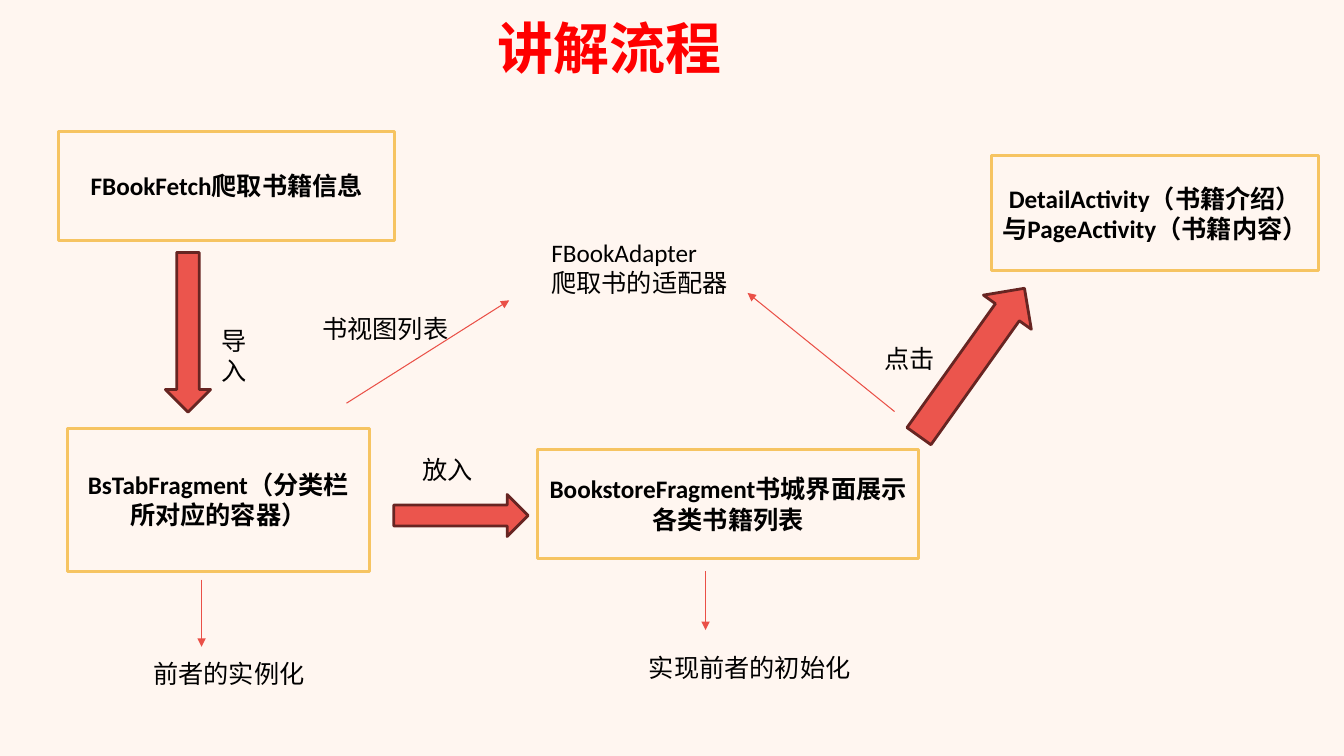
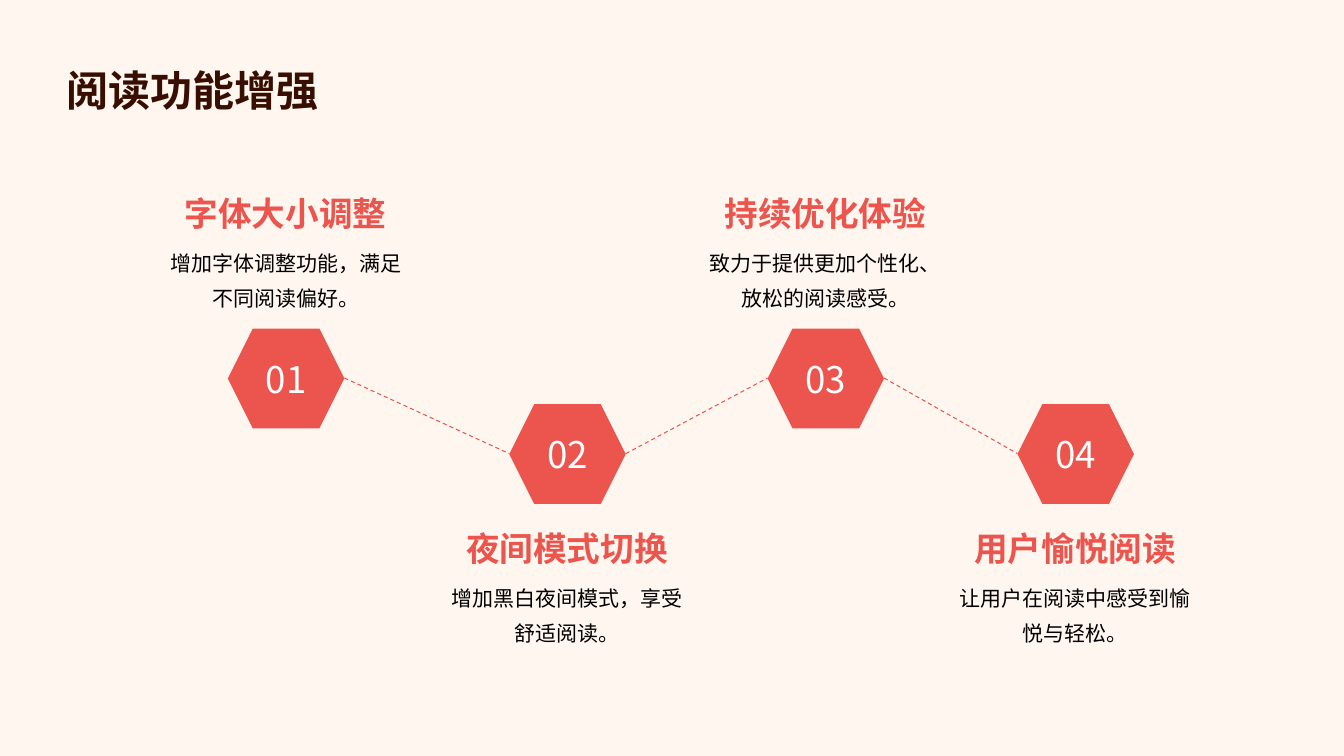
from lxml import etree
from pptx import Presentation
from pptx.dml.color import RGBColor
from pptx.enum.dml import MSO_LINE
from pptx.enum.shapes import MSO_CONNECTOR, MSO_SHAPE
from pptx.enum.text import MSO_ANCHOR, MSO_AUTO_SIZE, PP_ALIGN
from pptx.oxml.ns import qn
from pptx.util import Emu, Pt

PX = 9525  # EMU per px, 96 px to the inch
WIDTH, HEIGHT = 1280, 720

CREAM, GOLD, CORAL, MAROON = "FFF6F0", "F6C462", "EB554D", "672522"
ARROW_RED, RED, BROWN = "EA5047", "FF0000", "380E00"
BLACK, WHITE = "000000", "FFFFFF"
CJK = "Noto Sans CJK SC"
DEFAULT_INSETS = (10, 5, 10, 5)
TIGHT_INSETS = (7, 4, 7, 4)


def px(n):
    return Emu(n * PX)


def rgb(code):
    return RGBColor.from_string(code)


class Deck:
    """Holds the shared style and the slide being built."""

    def __init__(self):
        self.prs = Presentation()
        self.prs.slide_width, self.prs.slide_height = px(WIDTH), px(HEIGHT)
        fill = self.prs.slide_master.background.fill
        fill.solid()
        fill.fore_color.rgb = rgb(CREAM)
        self.s = None

    def slide(self):
        self.s = self.prs.slides.add_slide(self.prs.slide_layouts[5])

    def set_text(self, sp, lines, size, color=BLACK, font="Calibri", bold=False,
                 align=PP_ALIGN.LEFT, anchor=MSO_ANCHOR.TOP, spacing=1.0,
                 insets=DEFAULT_INSETS, fit=MSO_AUTO_SIZE.NONE):
        tf = sp.text_frame
        tf.word_wrap, tf.auto_size, tf.vertical_anchor = True, fit, anchor
        (tf.margin_left, tf.margin_top,
         tf.margin_right, tf.margin_bottom) = map(px, insets)
        for i, line in enumerate(lines):
            p = tf.add_paragraph() if i else tf.paragraphs[0]
            p.alignment, p.line_spacing = align, spacing
            r = p.add_run()
            r.text = line
            f = r.font
            f.size, f.bold, f.name = Pt(size), bold, font
            f.color.rgb = rgb(color)
            # East Asian glyphs need their own typeface element
            rpr = r._r.get_or_add_rPr()
            etree.SubElement(rpr, qn("a:ea")).set("typeface", CJK)

    def title(self, text, at, size, **style):
        sp = self.s.shapes.title
        sp.left, sp.top, sp.width, sp.height = map(px, at)
        self.set_text(sp, [text], size, bold=True, **style)

    def text(self, lines, at, size, **style):
        sp = self.s.shapes.add_textbox(*map(px, at))
        self.set_text(sp, lines, size, **style)

    def label(self, lines, at):
        self.text(lines, at, 18, fit=MSO_AUTO_SIZE.SHAPE_TO_FIT_TEXT)

    def shape(self, kind, at, fill, line=None, rotation=0):
        sp = self.s.shapes.add_shape(kind, *map(px, at))
        sp.shadow.inherit = False
        sp.rotation = rotation
        sp.fill.solid()
        sp.fill.fore_color.rgb = rgb(fill)
        if line:
            sp.line.color.rgb = rgb(line)
            sp.line.width = Pt(2)
        else:
            sp.line.fill.background()
        return sp

    def box(self, text, at):
        sp = self.shape(MSO_SHAPE.RECTANGLE, at, CREAM, GOLD)
        self.set_text(sp, [text], 18, bold=True, align=PP_ALIGN.CENTER,
                      anchor=MSO_ANCHOR.MIDDLE)

    def block_arrow(self, at, rotation=0):
        self.shape(MSO_SHAPE.RIGHT_ARROW, at, CORAL, MAROON, rotation)

    def hexagon(self, text, at):
        sp = self.shape(MSO_SHAPE.HEXAGON, at, CORAL)
        self.set_text(sp, [text], 26.2, WHITE, CJK, align=PP_ALIGN.CENTER,
                      anchor=MSO_ANCHOR.MIDDLE, insets=(0, 0, 0, 0))

    def line(self, ends, color, dashed=False, arrow=False):
        c = self.s.shapes.add_connector(MSO_CONNECTOR.STRAIGHT, *map(px, ends))
        c.line.color.rgb = rgb(color)
        c.line.width = Pt(0.75)
        if dashed:
            c.line.dash_style = MSO_LINE.DASH
        sp_pr = c._element.spPr
        if arrow:
            ln = sp_pr.find(qn("a:ln"))
            etree.SubElement(ln, qn("a:tailEnd")).set("type", "triangle")
        etree.SubElement(sp_pr, qn("a:effectLst"))


def flow_slide(deck):
    deck.slide()
    deck.title("讲解流程", (464, 8, 459, 74), 40, color=RED, font="Arial")

    # Components
    for text, at in [
        ("FBookFetch爬取书籍信息", (56, 125, 320, 104)),
        ("BsTabFragment（分类栏所对应的容器）", (64, 408, 288, 136)),
        ("BookstoreFragment书城界面展示各类书籍列表", (512, 428, 363, 104)),
        ("DetailActivity（书籍介绍）与PageActivity（书籍内容）",
         (944, 148, 312, 110)),
    ]:
        deck.box(text, at)

    # Main flow
    deck.block_arrow((103, 295, 152, 43), 90)
    deck.block_arrow((375, 471, 128, 40))
    deck.block_arrow((839, 317, 173, 56), 305.5)

    # Thin arrows
    for ends in [(672, 544, 672, 600), (192, 552, 192, 616),
                 (852, 392, 712, 279), (330, 384, 485, 286)]:
        deck.line(ends, ARROW_RED, arrow=True)

    # Labels
    for lines, at in [
        (["导入"], (201, 305, 68, 38)),
        (["点击"], (832, 322, 72, 38)),
        (["放入"], (392, 428, 104, 38)),
        (["实现前者的初始化"], (608, 616, 224, 38)),
        (["前者的实例化"], (136, 622, 176, 38)),
        (["书视图列表"], (297, 293, 150, 38)),
        (["FBookAdapter", "爬取书的适配器"], (515, 221, 208, 68)),
    ]:
        deck.label(lines, at)


def features_slide(deck):
    deck.slide()
    deck.title("阅读功能增强", (50, 28, 1180, 96), 30, color=BROWN, font=CJK,
               anchor=MSO_ANCHOR.MIDDLE, spacing=1.4, insets=(13, 13, 6, 13))

    hex_w, hex_h = 111, 95
    head_w, head_h = 254, 52
    body_w, body_h = 238, 83
    upper, lower = (313, 173), (385, 492)  # hexagon top, heading top
    steps = [
        (217, upper, "字体大小调整", "增加字体调整功能，满足不同阅读偏好。"),
        (485, lower, "夜间模式切换", "增加黑白夜间模式，享受舒适阅读。"),
        (731, upper, "持续优化体验", "致力于提供更加个性化、放松的阅读感受。"),
        (969, lower, "用户愉悦阅读", "让用户在阅读中感受到愉悦与轻松。"),
    ]

    # Dashed links between neighbouring hexagons
    for (x1, (y1, _), *_), (x2, (y2, _), *_) in zip(steps, steps[1:]):
        mid = hex_h // 2
        deck.line((x1 + hex_w, y1 + mid, x2, y2 + mid), CORAL, dashed=True)

    # Numbered steps, text centred on each hexagon
    for n, (x, (hex_top, head_top), head, body) in enumerate(steps, 1):
        cx = x + hex_w // 2
        deck.hexagon(f"{n:02d}", (x, hex_top, hex_w, hex_h))
        deck.text([head], (cx - head_w // 2, head_top, head_w, head_h), 24,
                  color=CORAL, font=CJK, bold=True, align=PP_ALIGN.CENTER,
                  anchor=MSO_ANCHOR.MIDDLE, spacing=1.2, insets=TIGHT_INSETS)
        deck.text([body], (cx - body_w // 2, head_top + head_h, body_w, body_h),
                  15, font=CJK, align=PP_ALIGN.CENTER, spacing=1.4,
                  insets=TIGHT_INSETS)


def main():
    deck = Deck()
    flow_slide(deck)
    features_slide(deck)
    deck.prs.save("out.pptx")


if __name__ == "__main__":
    main()
